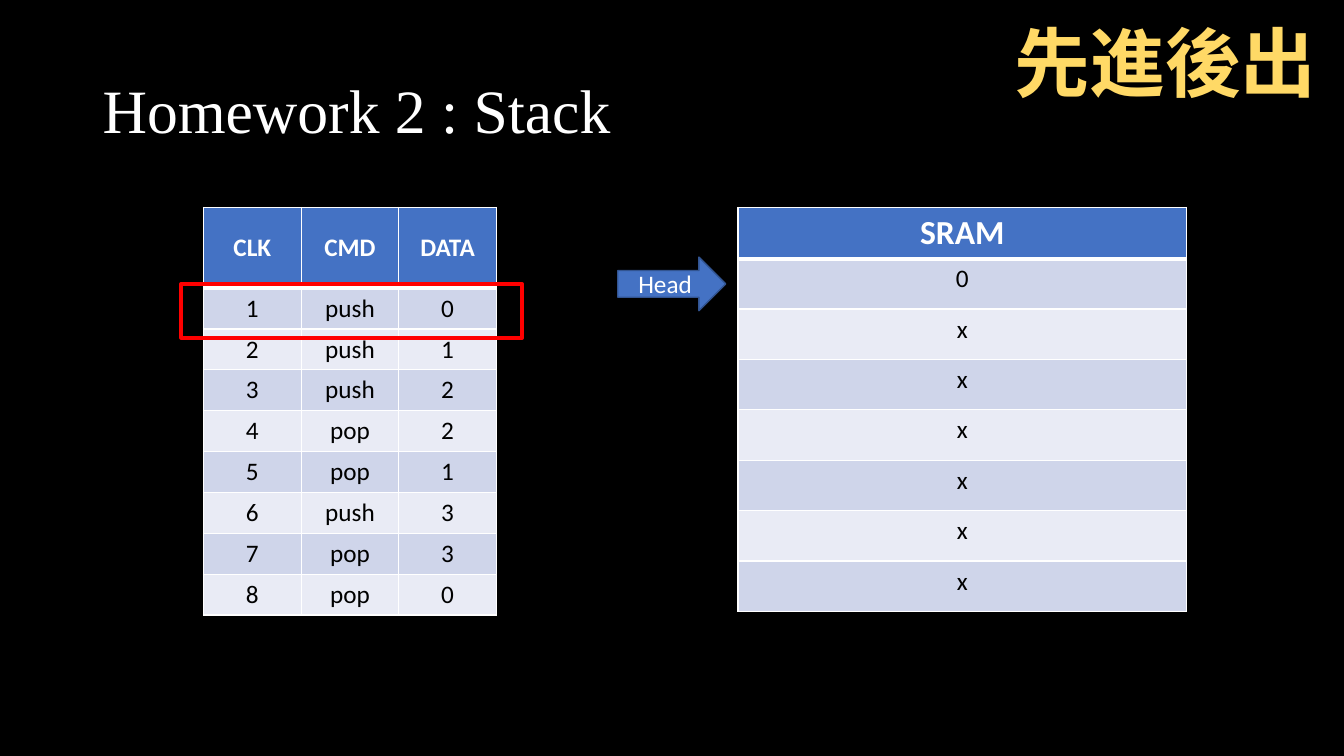
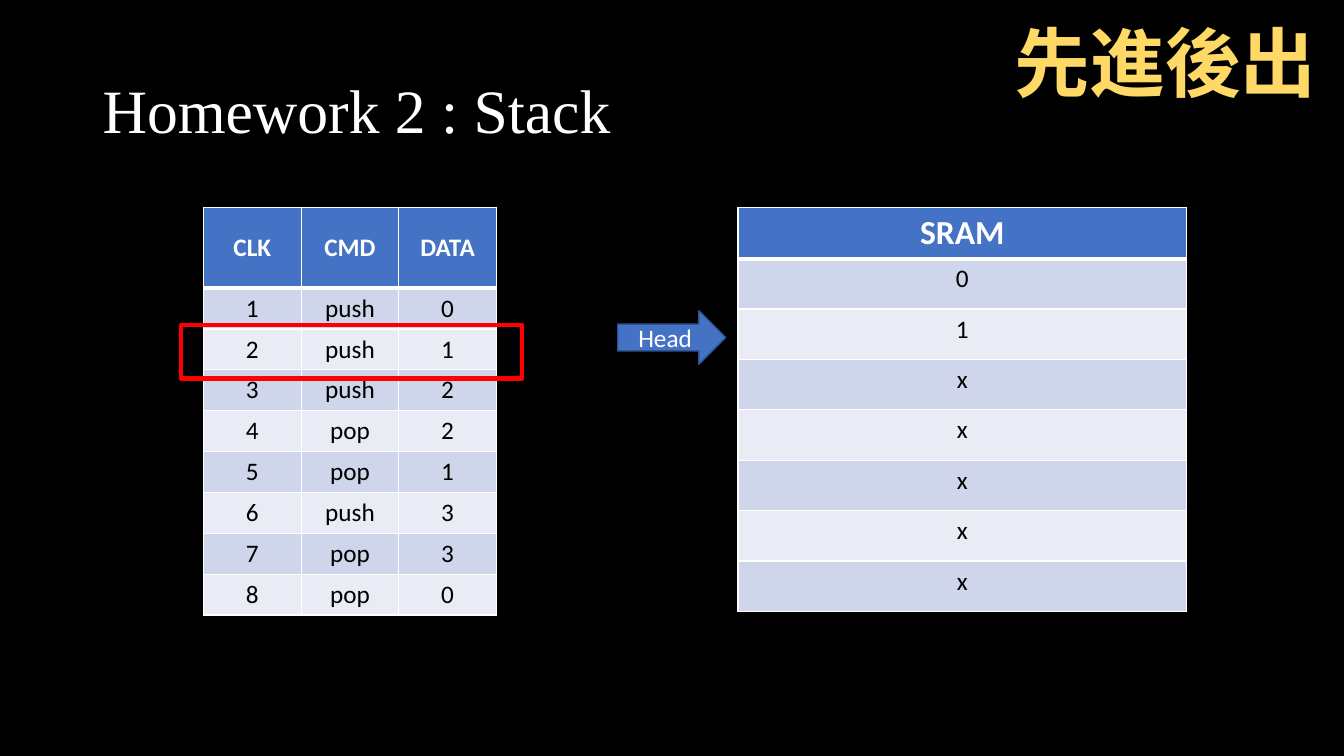
from lxml.etree import SubElement
from pptx import Presentation
from pptx.dml.color import RGBColor
from pptx.enum.shapes import MSO_SHAPE
from pptx.enum.text import MSO_ANCHOR, MSO_AUTO_SIZE, PP_ALIGN
from pptx.oxml.ns import qn
from pptx.util import Cm, Pt

BLACK, WHITE, BLUE, BLUE_EDGE = "000000", "FFFFFF", "4472C4", "325491"
BANDS = ("CFD5EA", "E9EBF5")
RED, GOLD = "FF0000", "FFD966"
TITLE_FONT, BODY_FONT = "Times New Roman", "Calibri"

TABLE_TOP = 5.23
COMMAND_ROW = 1.03
MARKER_HEIGHT = 1.35
COMMANDS = [
    ("push", 0), ("push", 1), ("push", 2), ("pop", 2),
    ("pop", 1), ("push", 3), ("pop", 3), ("pop", 0),
]
SRAM_SIZE = 7
STEPS = [(1, [0]), (2, [0, 1])]


def rgb(value):
    return RGBColor.from_string(value)


def box(left, top, width, height):
    return Cm(left), Cm(top), Cm(width), Cm(height)


def write(frame, text, size, color, font=BODY_FONT, bold=False, align=PP_ALIGN.CENTER):
    paragraph = frame.paragraphs[0]
    paragraph.alignment = align
    run = paragraph.add_run()
    run.text = text
    run.font.size = Pt(size)
    run.font.name = font
    run.font.bold = bold
    run.font.color.rgb = rgb(color)
    return paragraph


def add_border(cell, side, points):
    line = SubElement(cell._tc.get_or_add_tcPr(), qn(f"a:ln{side}"), w=str(Pt(points)))
    fill = SubElement(line, qn("a:solidFill"))
    SubElement(fill, qn("a:srgbClr"), val=WHITE)


def format_cell(cell, row, text, header_size, anchor):
    header = row == 0
    widths = {"L": 1, "R": 1, "T": 3 if row == 1 else 1, "B": 3 if header else 1}
    for side, points in widths.items():
        add_border(cell, side, points)
    cell.fill.solid()
    cell.fill.fore_color.rgb = rgb(BLUE if header else BANDS[(row - 1) % 2])
    cell.vertical_anchor = anchor
    write(cell.text_frame, text, header_size if header else 18,
          WHITE if header else BLACK, bold=header)


def add_grid(slide, left, column_width, row_heights, rows, header_size, anchor):
    columns = len(rows[0])
    area = box(left, TABLE_TOP, column_width * columns, sum(row_heights))
    table = slide.shapes.add_table(len(rows), columns, *area).table
    for column in table.columns:
        column.width = Cm(column_width)
    for index, (height, values) in enumerate(zip(row_heights, rows)):
        table.rows[index].height = Cm(height)
        for column, value in enumerate(values):
            format_cell(table.cell(index, column), index, str(value), header_size, anchor)


def add_sram(slide, stored):
    cells = stored + ["x"] * (SRAM_SIZE - len(stored))
    rows = [("SRAM",)] + [(value,) for value in cells]
    add_grid(slide, 18.6, 11.3, [1.27] * len(rows), rows, 24, MSO_ANCHOR.TOP)


def add_commands(slide):
    rows = [("CLK", "CMD", "DATA")]
    rows += [(clock, *command) for clock, command in enumerate(COMMANDS, 1)]
    heights = [2.03] + [COMMAND_ROW] * len(COMMANDS)
    add_grid(slide, 5.13, 2.46, heights, rows, 18, MSO_ANCHOR.MIDDLE)


def add_marker(slide, preset, left, top, width, edge, points, fill=None):
    marker = slide.shapes.add_shape(preset, *box(left, top, width, MARKER_HEIGHT))
    marker.shadow.inherit = False
    marker.line.color.rgb = rgb(edge)
    marker.line.width = Pt(points)
    if fill:
        marker.fill.solid()
        marker.fill.fore_color.rgb = rgb(fill)
    else:
        marker.fill.background()
    return marker


def add_head(slide, position):
    top = 6.48 + (position - 1) * MARKER_HEIGHT
    head = add_marker(slide, MSO_SHAPE.RIGHT_ARROW, 15.57, top, 2.72, BLUE_EDGE, 1, BLUE)
    head.text_frame.vertical_anchor = MSO_ANCHOR.MIDDLE
    write(head.text_frame, "Head", 18, WHITE)


def add_current_command(slide, clock):
    top = 7.16 + (clock - 1) * COMMAND_ROW
    add_marker(slide, MSO_SHAPE.RECTANGLE, 4.57, top, 8.59, RED, 3)


def add_principle(slide):
    frame = slide.shapes.add_textbox(*box(25.27, 0.28, 8.2, 2.57)).text_frame
    frame.word_wrap = False
    frame.auto_size = MSO_AUTO_SIZE.SHAPE_TO_FIT_TEXT
    write(frame, "先進後出", 54, GOLD, bold=True)


def set_title(slide, text):
    title = slide.shapes.title
    title.left, title.top, title.width, title.height = box(2.33, 1.01, 29.21, 3.68)
    frame = title.text_frame
    frame.auto_size = MSO_AUTO_SIZE.NONE
    frame.vertical_anchor = MSO_ANCHOR.MIDDLE
    paragraph = write(frame, text, 44, WHITE, TITLE_FONT, align=PP_ALIGN.LEFT)
    paragraph.line_spacing = 0.9


def add_step(deck, clock, stored):
    slide = deck.slides.add_slide(deck.slide_layouts[5])
    set_title(slide, "Homework 2 : Stack")
    add_sram(slide, stored)
    add_head(slide, len(stored))
    add_commands(slide)
    add_current_command(slide, clock)
    add_principle(slide)


def main():
    deck = Presentation()
    deck.slide_width, deck.slide_height = Cm(33.87), Cm(19.05)
    background = deck.slide_master.background.fill
    background.solid()
    background.fore_color.rgb = rgb(BLACK)
    for clock, stored in STEPS:
        add_step(deck, clock, stored)
    deck.save("out.pptx")


if __name__ == "__main__":
    main()
